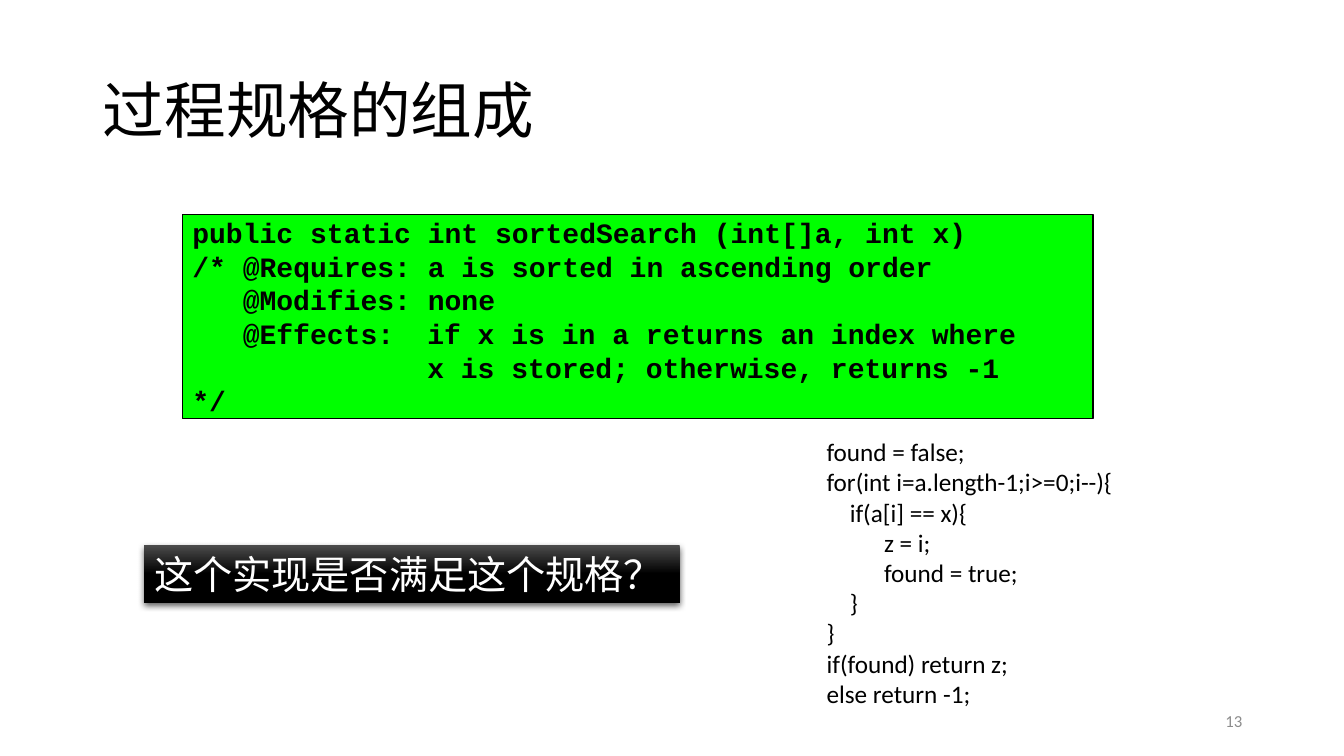
"""Build the slide on the parts of a procedure specification."""
from dataclasses import dataclass

from lxml.etree import SubElement
from pptx import Presentation
from pptx.dml.color import RGBColor
from pptx.enum.shapes import MSO_SHAPE as Kind
from pptx.enum.text import MSO_ANCHOR as Anchor, MSO_AUTO_SIZE as Fit, PP_ALIGN as Align
from pptx.oxml.ns import qn
from pptx.util import Emu, Pt

SCALE = 9144
BLACK = RGBColor(0, 0, 0)
WHITE = RGBColor(255, 255, 255)
GREEN = RGBColor(0, 255, 0)
SMOKE = RGBColor(0x4B, 0x4B, 0x4B)
GRAY = RGBColor(0x8C, 0x8C, 0x8C)


@dataclass(frozen=True)
class Line:
    text: str
    left: int = 0
    hang: int = 0


@dataclass(frozen=True)
class Block:
    box: tuple[int, int, int, int]
    lines: tuple[Line, ...]
    size: int
    color: RGBColor = BLACK
    font: str = "Calibri"
    bold: bool = False
    align: Align = Align.LEFT
    anchor: Anchor = Anchor.TOP
    wrap: bool = False
    fit: Fit = Fit.SHAPE_TO_FIT_TEXT


TITLE = Block((92, 40, 1150, 145), (Line("过程规格的组成"),), 44,
              anchor=Anchor.MIDDLE, wrap=True, fit=Fit.NONE)
SPEC = Block((181, 213, 903, 202), (
    Line("public static int sortedSearch (int[]a, int x)"),
    Line("/* @Requires: a is sorted in ascending order"),
    Line("@Modifies: none", 50),
    Line("@Effects:\tif x is in a returns an index where", 233, 183),
    Line("x is stored; otherwise, returns -1", 233),
    Line("*/"),
), 20, font="Courier New", bold=True, anchor=Anchor.MIDDLE, wrap=True, fit=Fit.NONE)
ASK = Block((143, 541, 531, 57), (Line("这个实现是否满足这个规格？"),), 28, WHITE)
CODE = Block((810, 428, 307, 283), (
    Line("found = false;"),
    Line("for(int i=a.length-1;i>=0;i--){"),
    Line("if(a[i] == x){", 23),
    Line("z = i;", 57),
    Line("found = true;", 57),
    Line("}", 23),
    Line("}"),
    Line("if(found) return z;"),
    Line("else return -1;"),
), 18)
PAGE = Block((942, 695, 300, 40), (Line("13"),), 12, GRAY,
             align=Align.RIGHT, anchor=Anchor.MIDDLE, wrap=True, fit=Fit.NONE)


def px(count: int) -> Emu:
    """Turn px into EMU."""
    return Emu(count * SCALE)


def write(shape, block: Block) -> None:
    """Place a shape and fill it with the lines of a block."""
    shape.left, shape.top, shape.width, shape.height = map(px, block.box)
    frame = shape.text_frame
    frame.word_wrap = block.wrap
    frame.auto_size = block.fit
    frame.vertical_anchor = block.anchor
    for index, line in enumerate(block.lines):
        para = frame.add_paragraph() if index else frame.paragraphs[0]
        para.text = line.text
        para.alignment = block.align
        font = para.font
        font.name, font.size, font.bold = block.font, Pt(block.size), block.bold
        font.color.rgb = block.color
        if line.left:
            props = para._p.get_or_add_pPr()
            props.set("marL", str(px(line.left)))
            props.set("indent", str(-px(line.hang)))


def add_panel(slide, block: Block):
    """Add a rectangle without shadow that holds a block."""
    shape = slide.shapes.add_shape(Kind.RECTANGLE, *map(px, block.box))
    shape.shadow.inherit = False
    write(shape, block)
    return shape


def add_note(slide, block: Block) -> None:
    """Add a text box that holds a block."""
    write(slide.shapes.add_textbox(*map(px, block.box)), block)


def shade(shape) -> None:
    """Give a shape a dark gradient and a soft shadow below."""
    shape.line.fill.background()
    fill = shape.fill
    fill.gradient()
    fill.gradient_angle = 270
    for stop, place, color in zip(fill.gradient_stops, (0, 0.5), (SMOKE, BLACK)):
        stop.position = place
        stop.color.rgb = color
    effects = shape._element.spPr.find(qn("a:effectLst"))
    drop = SubElement(effects, qn("a:outerShdw"), blurRad=str(Pt(4.5)),
                      dist=str(Pt(1.5)), dir="5400000", rotWithShape="0")
    tone = SubElement(drop, qn("a:srgbClr"), val=str(BLACK))
    SubElement(tone, qn("a:alpha"), val="63000")


def main() -> None:
    """Build and save the slide."""
    deck = Presentation()
    deck.slide_width, deck.slide_height = px(1333), px(750)
    slide = deck.slides.add_slide(deck.slide_layouts.get_by_name("Title Only"))
    title = slide.shapes.title
    write(title, TITLE)
    title.text_frame.paragraphs[0].line_spacing = 0.9
    panel = add_panel(slide, SPEC)
    panel.fill.solid()
    panel.fill.fore_color.rgb = GREEN
    panel.line.color.rgb = BLACK
    panel.line.width = Pt(1)
    shade(add_panel(slide, ASK))
    add_note(slide, CODE)
    add_note(slide, PAGE)
    deck.save("out.pptx")


if __name__ == "__main__":
    main()
